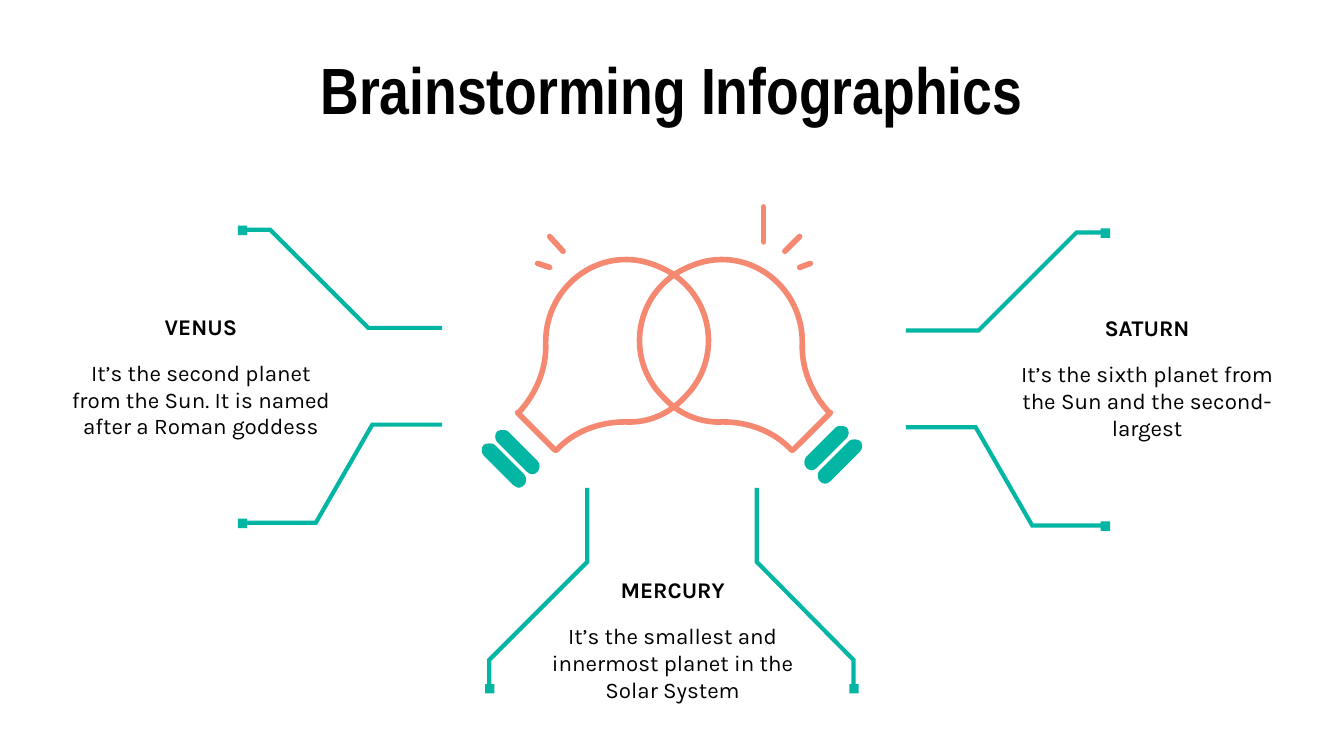
from pptx import Presentation
from pptx.dml.color import RGBColor
from pptx.enum import shapes, text
from pptx.oxml import parse_xml
from pptx.oxml import ns
from pptx.util import Pt

PX = 9144  # 100 px to the inch
TEAL, CORAL, BLACK = "03B5A3", "F58870", "000000"

# Callout lines, each from its square end inwards
CALLS = [
    [(180, 171), (201, 171), (274, 244), (329, 244)],
    [(180, 389), (235, 389), (277, 316), (329, 316)],
    [(822, 173), (801, 173), (728, 246), (674, 246)],
    [(822, 391), (768, 391), (726, 318), (674, 318)],
    [(635, 512), (635, 491), (563, 418), (563, 363)],
    [(364, 512), (364, 491), (437, 418), (437, 363)],
]

PLANETS = [
    (39, 224, "VENUS",
     "It’s the second planet from the Sun. It is named after a Roman goddess"),
    (743, 225, "SATURN",
     "It’s the sixth planet from the Sun and the second-largest"),
    (390, 420, "MERCURY",
     "It’s the smallest and innermost planet in the Solar System"),
]

# Outlines: a step of one point is a line, a step of three is a curve
BULB = [
    [(509, 296)],
    [(540, 266), (530, 214), (489, 198)],
    [(449, 181), (406, 211), (406, 255)],
    [(407, 274), (399, 293), (386, 307)],
    [(385, 307)], [(413, 335)], [(414, 335)],
    [(427, 321), (446, 314), (465, 314)],
    [(482, 315), (498, 308), (509, 296)],
]
BAR = [
    [(626, 317)],
    [(624, 317), (623, 317), (622, 318)],
    [(600, 340)],
    [(598, 342), (598, 346), (600, 348)],
    [(601, 349), (602, 350), (604, 350)],
    [(605, 350), (607, 349), (608, 348)],
    [(630, 326)],
    [(632, 324), (632, 320), (630, 318)],
    [(628, 317), (627, 317), (626, 317)],
]

RAYS = [(568, 180, 568, 154), (584, 187, 595, 176), (595, 199, 603, 196),
        (419, 187, 409, 176), (409, 199, 400, 196)]


def color(code):
    return RGBColor.from_string(code)


def stroke(line, code, width, join, cap="flat"):
    line.color.rgb = color(code)
    line.width = Pt(width)
    ln = line._ln
    ln.set("cap", cap)
    ln.append(parse_xml(f'<a:{join} {ns.nsdecls("a")}/>'))


def fill(shape, code):
    shape.shadow.inherit = False
    shape.fill.solid()
    shape.fill.fore_color.rgb = color(code)
    shape.line.fill.background()


def outline(slide, steps, close=True):
    """Build a freeform and join each three-point step into a curve."""
    (x, y), = steps[0]
    pen = slide.shapes.build_freeform(x, y, scale=PX)
    pen.add_line_segments([p for s in steps[1:] for p in s], close=close)
    shape = pen.convert_to_shape()
    shape.shadow.inherit = False
    legs = iter(list(shape._element.iter(ns.qn("a:lnTo"))))
    for step in steps[1:]:
        group = [next(legs) for _ in step]
        if len(group) == 3:
            curve = parse_xml(f'<a:cubicBezTo {ns.nsdecls("a")}/>')
            group[0].addprevious(curve)
            for leg in group:
                curve.append(leg[0])
                leg.getparent().remove(leg)
    return shape


def mirror(steps, axis, down=0):
    """Flip steps left to right; axis is twice the x of the mirror."""
    return [[(axis - x, y + down) for x, y in s] for s in steps]


def shift(steps, gap):
    return [[(x + gap, y + gap) for x, y in s] for s in steps]


def write(frame, words, size, name, bold=False):
    frame.word_wrap = True
    frame.auto_size = text.MSO_AUTO_SIZE.NONE
    frame.vertical_anchor = text.MSO_ANCHOR.MIDDLE
    frame.margin_left = frame.margin_right = 10 * PX
    frame.margin_top = frame.margin_bottom = 10 * PX
    frame.text = words
    para = frame.paragraphs[0]
    para.alignment = text.PP_ALIGN.CENTER
    font = para.font
    font.size, font.name, font.bold = Pt(size), name, bold
    font.color.rgb = color(BLACK)


def label(slide, x, y, w, h, words, bold=False):
    box = slide.shapes.add_textbox(x * PX, y * PX, w * PX, h * PX)
    write(box.text_frame, words, 12, "Karla", bold)


def callout(slide, points):
    shape = outline(slide, [[p] for p in points], close=False)
    shape.fill.background()
    stroke(shape.line, TEAL, 2.25, "miter")
    x, y = points[0]
    dot = slide.shapes.add_shape(shapes.MSO_SHAPE.RECTANGLE,
                                 (x - 3) * PX, (y - 3) * PX, 7 * PX, 7 * PX)
    fill(dot, TEAL)


def ray(slide, ends):
    line = slide.shapes.add_connector(shapes.MSO_CONNECTOR.STRAIGHT,
                                      *(n * PX for n in ends))
    stroke(line.line, CORAL, 3, "round", "rnd")
    line._element.spPr.append(parse_xml(f'<a:effectLst {ns.nsdecls("a")}/>'))


def bulbs(slide):
    for steps in (BULB, mirror(BULB, 1003)):
        shape = outline(slide, steps)
        shape.fill.background()
        stroke(shape.line, CORAL, 3, "round", "rnd")
    for bar in (BAR, shift(BAR, 10)):
        for steps in (bar, mirror(bar, 1000, 3)):
            fill(outline(slide, steps), TEAL)
    for ends in RAYS:
        ray(slide, ends)


def main():
    deck = Presentation()
    deck.slide_width = 1000 * PX
    deck.slide_height = deck.slide_width * 9 // 16
    slide = deck.slides.add_slide(deck.slide_layouts[0])

    # Title
    sub = slide.placeholders[1]._element
    sub.getparent().remove(sub)
    title = slide.shapes.title
    title.left, title.top = 34 * PX, 36 * PX
    title.width, title.height = 932 * PX, 59 * PX
    write(title.text_frame, "Brainstorming Infographics", 35,
          "Arial Narrow", True)

    # Callouts and bulbs
    for points in CALLS:
        callout(slide, points)
    bulbs(slide)

    # Planet texts
    for x, y, name, words in PLANETS:
        label(slide, x, y + 28, 221, 90, words)
        label(slide, x, y, 221, 38, name, True)

    deck.save("out.pptx")


if __name__ == "__main__":
    main()
